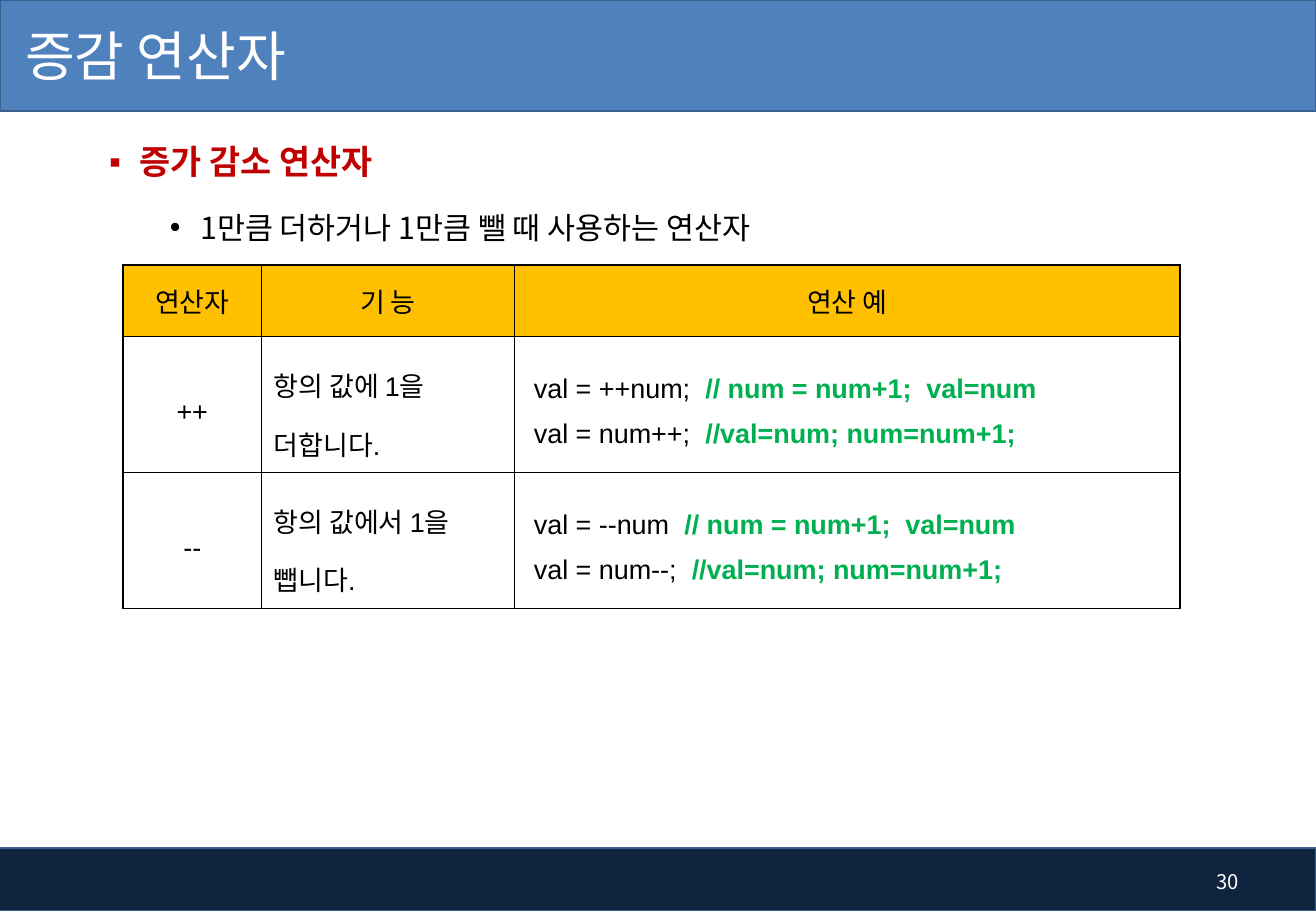
import pptx
import pptx.dml.color
import pptx.enum.shapes
import pptx.enum.text
import pptx.oxml
import pptx.oxml.ns
import pptx.util

Cm = pptx.util.Cm
Pt = pptx.util.Pt
RGB = pptx.dml.color.RGBColor
ALIGN = pptx.enum.text.PP_ALIGN
MIDDLE = pptx.enum.text.MSO_ANCHOR.MIDDLE

WHITE = RGB(0xFF, 0xFF, 0xFF)
BLACK = RGB(0, 0, 0)
BLUE = RGB(0x4F, 0x81, 0xBD)
NAVY = RGB(0x0F, 0x24, 0x3E)
EDGE = RGB(0x3A, 0x5F, 0x8C)
RED = RGB(0xC0, 0, 0)
GOLD = RGB(0xFF, 0xC0, 0)
GREEN = RGB(0, 0xB0, 0x50)
SANS = "Noto Sans CJK KR"
WIDTH, HEIGHT = Cm(27.51), Cm(19.05)

HEADS = ["연산자", "기 능", "연산 예"]
ROWS = [
    ("++", "항의 값에 1을 더합니다.",
     [("val = ++num;  ", "// num = num+1;  val=num"),
      ("val = num++;  ", "//val=num; num=num+1;")]),
    ("--", "항의 값에서 1을 뺍니다.",
     [("val = --num  ", "// num = num+1;  val=num"),
      ("val = num--;  ", "//val=num; num=num+1;")]),
]


def add_xml(parent, tag, body="", **attrs):
    """Build one drawing element and append it."""
    text = "".join(f' {key}="{val}"' for key, val in attrs.items())
    names = pptx.oxml.ns.nsdecls("a")
    node = pptx.oxml.parse_xml(f"<a:{tag} {names}{text}>{body}</a:{tag}>")
    parent.append(node)
    return node


def set_font(font, size, color, name=SANS, bold=False):
    font.size, font.bold, font.name = Pt(size), bold, name
    font.color.rgb = color
    add_xml(font._element, "ea", typeface=SANS)


def add_bar(slide, left, top, width, height, color):
    kind = pptx.enum.shapes.MSO_SHAPE.RECTANGLE
    bar = slide.shapes.add_shape(kind, left, top, width, height)
    bar.shadow.inherit = False
    bar.fill.solid()
    bar.fill.fore_color.rgb = color
    bar.line.color.rgb = EDGE
    bar.line.width = Pt(1)


def add_box(slide, left, top, width, height):
    box = slide.shapes.add_textbox(left, top, width, height)
    box.text_frame.word_wrap = True
    return box.text_frame


def add_label(slide, place, text, size, align):
    frame = add_box(slide, *place)
    frame.vertical_anchor = MIDDLE
    para = frame.paragraphs[0]
    para.text, para.alignment = text, align
    set_font(para.font, size, WHITE)
    return frame


def set_bullet(para, text, mark, left, space, size, color, bold=False):
    para.text = text
    para.line_spacing = space
    props = para._p.get_or_add_pPr()
    props.set("marL", str(Cm(left)))
    props.set("indent", str(-Cm(0.64)))
    add_xml(props, "buClr", f'<a:srgbClr val="{color}"/>')
    add_xml(props, "buFont", typeface="Arial")
    add_xml(props, "buChar", char=mark)
    set_font(para.font, size, color, bold=bold)


def set_edges(cell):
    """Draw a thin black line on all four sides."""
    props = cell._tc.get_or_add_tcPr()
    body = f'<a:solidFill><a:srgbClr val="{BLACK}"/></a:solidFill>'
    for spot, side in enumerate(["lnL", "lnR", "lnT", "lnB"]):
        props.insert(spot, add_xml(props, side, body, w=Pt(1)))


def set_cell(cell, text, align, space=1.5, fill=None):
    cell.vertical_anchor = MIDDLE
    if fill is None:
        cell.fill.background()
    else:
        cell.fill.solid()
        cell.fill.fore_color.rgb = fill
    set_edges(cell)
    para = cell.text_frame.paragraphs[0]
    para.text, para.alignment, para.line_spacing = text, align, space
    set_font(para.font, 16, BLACK, "Arial")


def set_code(cell, lines):
    """Fill a cell with code lines, each ending in a green remark."""
    set_cell(cell, "", ALIGN.LEFT)
    cell.margin_left = Cm(0.41)
    frame = cell.text_frame
    for num, (code, note) in enumerate(lines):
        para = frame.add_paragraph() if num else frame.paragraphs[0]
        para.line_spacing = 1.5
        for text, color, bold in [(code, BLACK, False), (note, GREEN, True)]:
            run = para.add_run()
            run.text = text
            set_font(run.font, 16, color, "Arial", bold)


def add_grid(slide):
    widths, heights = [2.9, 5.28, 13.92], [1.5, 2.84, 2.84]
    table = slide.shapes.add_table(
        len(heights), len(widths), Cm(2.57), Cm(5.54),
        Cm(sum(widths)), Cm(sum(heights))).table
    table.first_row = table.horz_banding = False
    for col, width in zip(table.columns, widths):
        col.width = Cm(width)
    for row, height in zip(table.rows, heights):
        row.height = Cm(height)
    for col, head in enumerate(HEADS):
        set_cell(table.cell(0, col), head, ALIGN.CENTER, 1.0, GOLD)
    for row, (sign, job, lines) in enumerate(ROWS, 1):
        set_cell(table.cell(row, 0), sign, ALIGN.CENTER)
        set_cell(table.cell(row, 1), job, ALIGN.LEFT)
        set_code(table.cell(row, 2), lines)


def main():
    deck = pptx.Presentation()
    deck.slide_width, deck.slide_height = WIDTH, HEIGHT
    slide = deck.slides.add_slide(deck.slide_layouts[6])

    # Bars at the foot and head
    add_bar(slide, Cm(-0.1), Cm(17.73), WIDTH + Cm(0.1), Cm(1.32), NAVY)
    add_bar(slide, 0, 0, WIDTH, Cm(2.33), BLUE)

    # Title and page number
    title = add_label(slide, (0, Cm(-0.05), Cm(17.22), Cm(2.39)),
                      "증감 연산자", 32, ALIGN.LEFT)
    title.margin_left = Cm(0.53)
    add_label(slide, (Cm(24.59), Cm(17.93), Cm(1.55), Cm(1.02)),
              "30", 12, ALIGN.RIGHT)

    # Bullets
    frame = add_box(slide, Cm(2.03), Cm(2.92), Cm(23.93), Cm(2.62))
    set_bullet(frame.paragraphs[0], "증가 감소 연산자", "▪",
               0.64, 0.9, 20, RED, True)
    para = frame.add_paragraph()
    para.level, para.space_before = 1, Pt(5)
    set_bullet(para, "1만큼 더하거나 1만큼 뺄 때 사용하는 연산자", "•",
               1.91, 1.5, 18, BLACK)

    # Table of operators
    add_grid(slide)
    deck.save("out.pptx")


if __name__ == "__main__":
    main()
